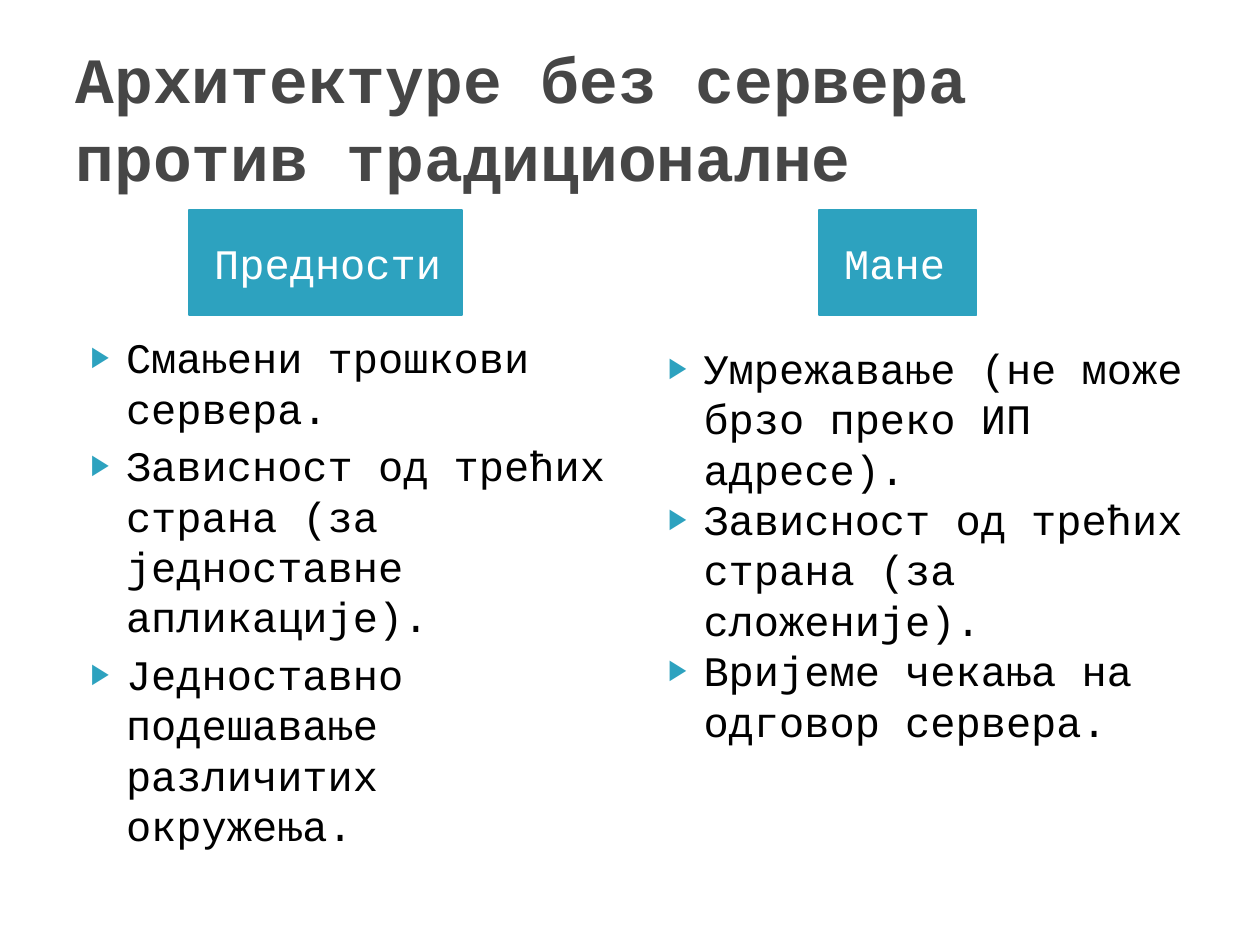
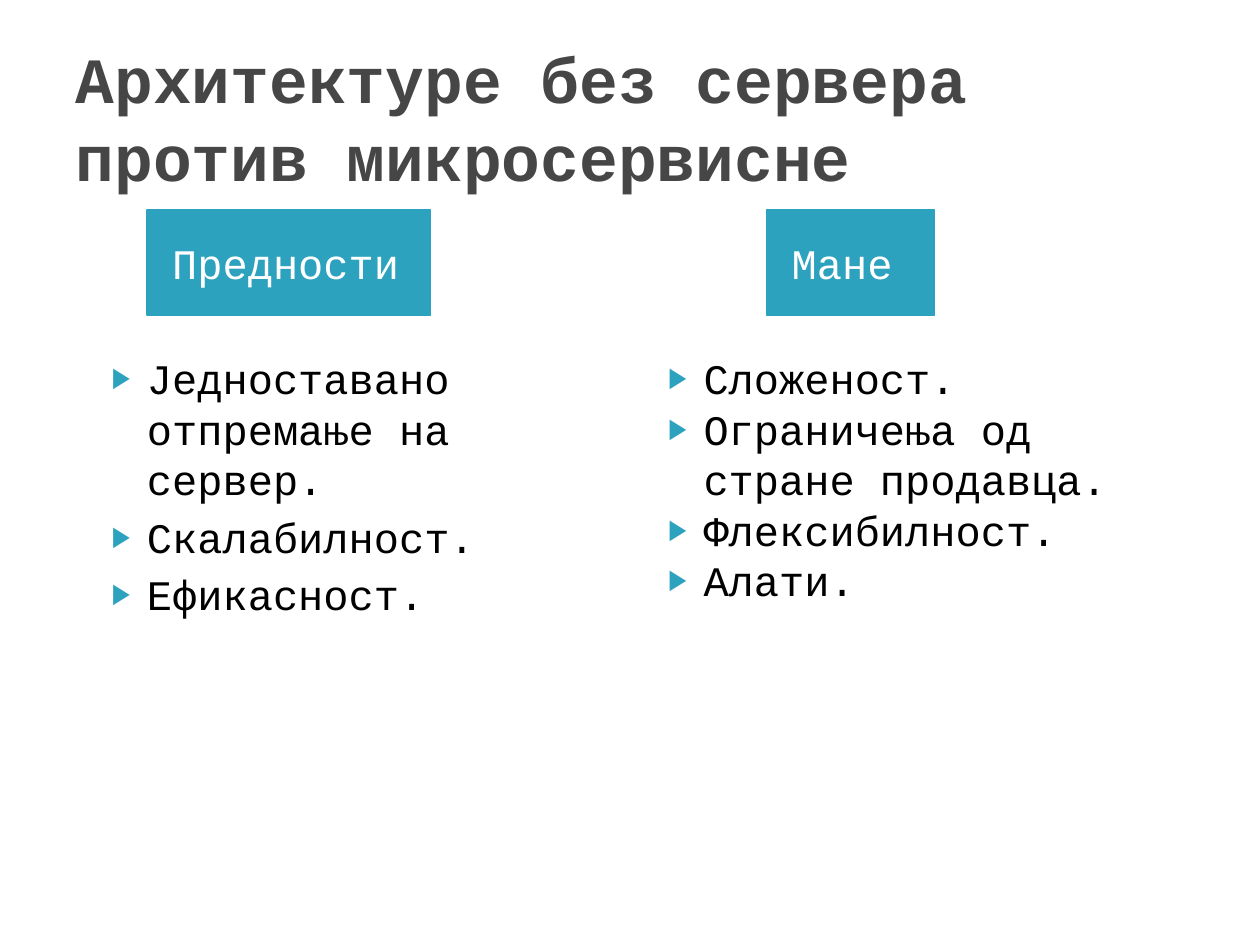
from lxml import etree
from pptx import Presentation
from pptx.dml.color import RGBColor
from pptx.enum.text import MSO_ANCHOR, MSO_AUTO_SIZE, PP_ALIGN
from pptx.oxml.ns import qn
from pptx.util import Pt

TOP, MIDDLE = MSO_ANCHOR.TOP, MSO_ANCHOR.MIDDLE
LEFT = PP_ALIGN.LEFT
FIXED = MSO_AUTO_SIZE.NONE

HUES = {"title": "464646", "accent": "2DA2BF", "text": "000000", "label": "FFFFFF"}
FONT = "Courier New"


def hue(name):
    return RGBColor.from_string(HUES[name])


def mark(para):
    props = para._p.get_or_add_pPr()
    props.set("marL", str(Pt(28.8)))
    props.set("indent", str(-Pt(20.16)))
    color = etree.SubElement(props, qn("a:buClr"))
    etree.SubElement(color, qn("a:srgbClr"), val=HUES["accent"])
    etree.SubElement(props, qn("a:buSzPct"), val="68000")
    etree.SubElement(props, qn("a:buChar"), char="▶")


def write(shape, text, size=24, color="text", bold=False, anchor=TOP,
          before=0, inset=7.2, bullet=False):
    frame = shape.text_frame
    frame.text = text
    frame.word_wrap = True
    frame.auto_size = FIXED
    frame.vertical_anchor = anchor
    frame.margin_left, frame.margin_right = Pt(inset), Pt(7.2)
    frame.margin_top = frame.margin_bottom = Pt(3.6)
    for para in frame.paragraphs:
        para.alignment = LEFT
        para.space_before = Pt(before)
        if bullet:
            mark(para)
        for run in para.runs:
            font = run.font
            font.name, font.size, font.bold = FONT, Pt(size), bold
            font.color.rgb = hue(color)


class Deck:
    def __init__(self):
        self.file = Presentation()
        self.file.slide_width, self.file.slide_height = Pt(720), Pt(540)
        self.slide = None

    def add(self):
        self.slide = self.file.slides.add_slide(self.file.slide_layouts[4])

    def place(self, slot, left, top, width, height):
        shape = self.slide.placeholders[slot]
        shape.left, shape.top = Pt(left), Pt(top)
        shape.width, shape.height = Pt(width), Pt(height)
        return shape

    def title(self, text):
        shape = self.place(0, 36, 21.6, 648, 90)
        write(shape, text, size=36.9, color="title", bold=True, anchor=MIDDLE)

    def label(self, slot, text, left, width):
        shape = self.place(slot, left, 120, width, 60)
        shape.fill.solid()
        shape.fill.fore_color.rgb = hue("accent")
        shape.line.color.rgb = hue("accent")
        shape.line.width = Pt(0.76)
        write(shape, text, color="label", anchor=MIDDLE, before=4, inset=14.4)

    def points(self, slot, items, box, before):
        write(self.place(slot, *box), "\n".join(items), before=before, bullet=True)

    def compare(self, title, pros, cons):
        self.add()
        self.title(title)
        sides = ((1, "Предности", pros, 4), (3, "Мане", cons, 0))
        for slot, name, (span, box, items), before in sides:
            self.label(slot, name, *span)
            self.points(slot + 1, items, box, before)


deck = Deck()
deck.compare(
    "Архитектуре без сервера против традиционалне",
    ((108, 156), (36, 186, 318, 256), (
        "Смањени трошкови сервера.",
        "Зависност од трећих страна (за једноставне апликације).",
        "Једноставно подешавање различитих окружења.",
    )),
    ((468, 90), (366, 192, 318, 204), (
        "Умрежавање (не може брзо преко ИП адресе).",
        "Зависност од трећих страна (за сложеније).",
        "Вријеме чекања на одговор сервера.",
    )),
)
deck.compare(
    "Архитектуре без сервера против микросервисне",
    ((84, 162), (48, 198, 312, 156), (
        "Једноставано отпремање на сервер.",
        "Скалабилност.",
        "Ефикасност.",
    )),
    ((438, 96), (366, 198, 318, 162), (
        "Сложеност.",
        "Ограничења од стране продавца.",
        "Флексибилност.",
        "Алати.",
    )),
)
deck.file.save("out.pptx")
